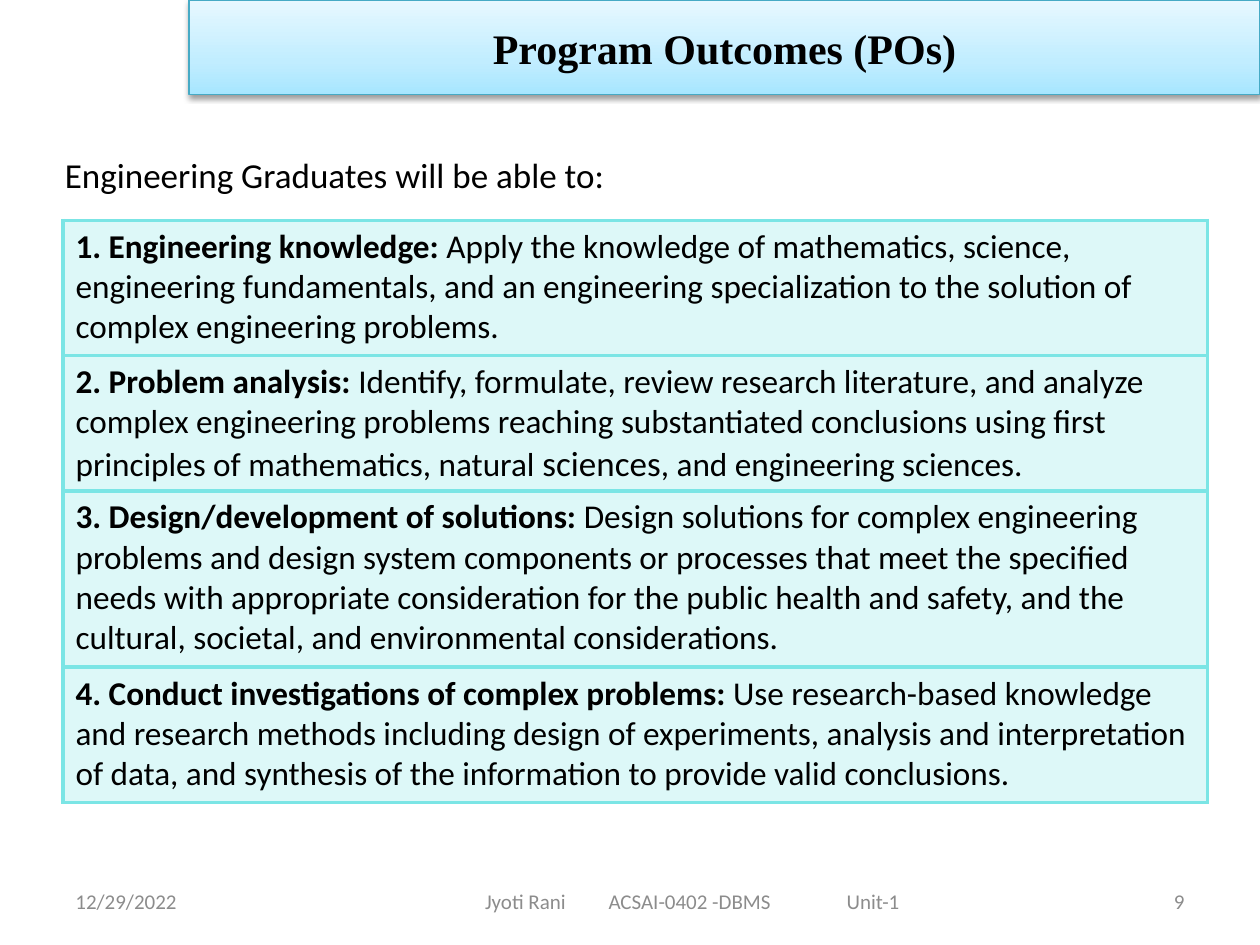
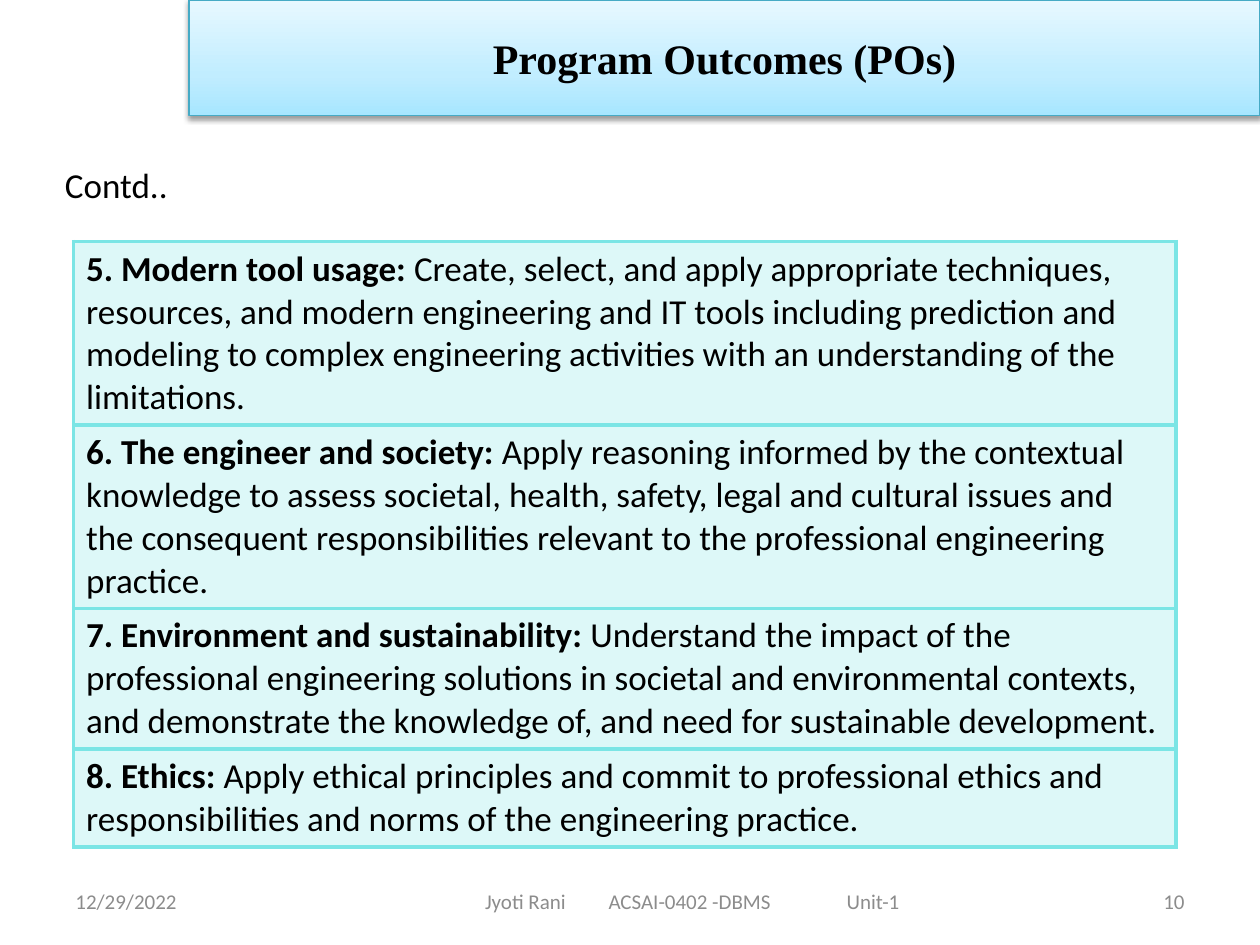
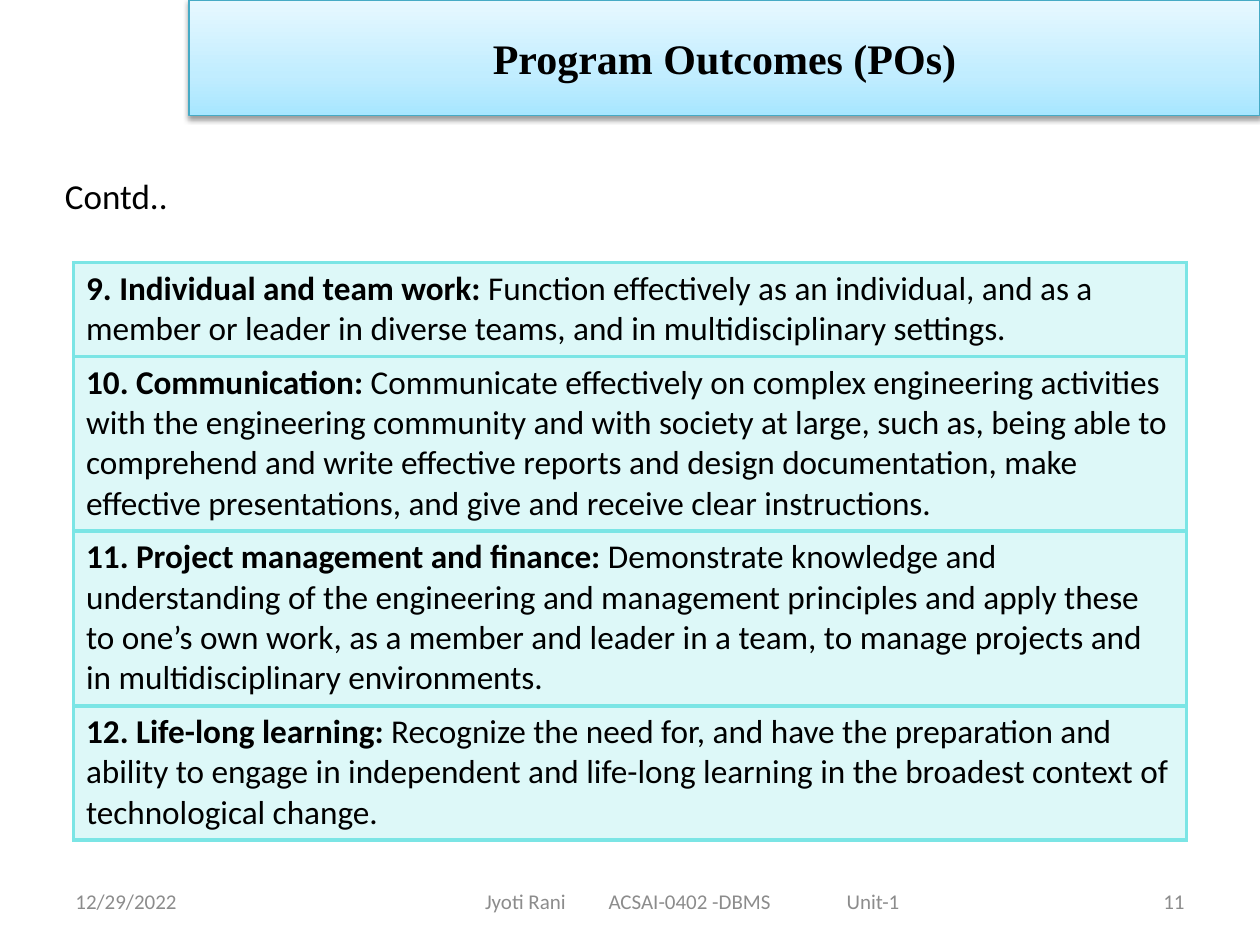
import pptx
import pptx.dml.color
import pptx.enum.text
import pptx.oxml
import pptx.oxml.ns
import pptx.util

COLORS = {
    "text": "000000",
    "footer": "8C8C8C",
    "table": "7BE5E5",
    "band_line": "46AAC5",
    "band_low": "A7E6FF",
    "band_mid": "C1EDFF",
    "band_high": "E7F8FF",
}
COLUMNS, ROWS = 120, 90  # grid of the slide
CELL_MARGIN = 0.1        # top and bottom margins of a cell together, inches
NS = pptx.oxml.ns.nsdecls("a")
ALIGN = pptx.enum.text.PP_ALIGN
ANCHOR = pptx.enum.text.MSO_ANCHOR
AUTO_SIZE = pptx.enum.text.MSO_AUTO_SIZE

BODY = {"name": "Calibri", "size": pptx.util.Pt(20), "bold": False}
TITLE = {"name": "Times New Roman", "size": pptx.util.Pt(24), "bold": True}
FOOTER = {"name": "Calibri", "size": pptx.util.Pt(12), "bold": False}

TITLE_TEXT = "Program Outcomes (POs)"
DATE = "12/29/2022"
FOOTER_PARTS = ["Jyoti Rani", "ACSAI-0402 -DBMS", "Unit-1"]
FOOTER_TABS = [0.98, 2.87]  # inches from the start of the footer text
FIRST_NUMBER = 9

# Each outcome: number of lines, heading, then runs of text (with a size if it differs)
SLIDES = [
    {
        "band": 9, "intro": ("Engineering Graduates will be able to:", 14, 54.24),
        "table": (6, 21, 109), "size": 19, "leading": 1.23,
        "outcomes": [
            (3, "1. Engineering knowledge:",
             " Apply the knowledge of mathematics, science, engineering fundamentals, and an "
             "engineering specialization to the solution of complex engineering problems."),
            (3, "2. Problem analysis:",
             " Identify, formulate, review research literature, and analyze complex engineering "
             "problems reaching substantiated conclusions using first principles of mathematics, "
             "natural ", ("sciences", 20), ", and engineering sciences."),
            (4, "3. Design/development of solutions:",
             " Design solutions for complex engineering problems and design system components or "
             "processes that meet the specified needs with appropriate consideration for the "
             "public health and safety, and the cultural, societal, and environmental "
             "considerations."),
            (3, "4. Conduct investigations of complex problems:",
             " Use research-based knowledge and research methods including design of experiments, "
             "analysis and interpretation of data, and synthesis of the information to provide "
             "valid conclusions."),
        ],
    },
    {
        "band": 11, "intro": ("Contd..", 15, 12.24),
        "table": (7, 23, 105), "size": 20, "leading": 1.22,
        "outcomes": [
            (4, "5. Modern tool usage:",
             " Create, select, and apply appropriate techniques, resources, and modern "
             "engineering and IT tools including prediction and modeling to complex engineering "
             "activities with an understanding of the limitations."),
            (4, "6. The engineer and society:",
             " Apply reasoning informed by the contextual knowledge to assess societal, health, "
             "safety, legal and cultural issues and the consequent responsibilities relevant to "
             "the professional engineering practice."),
            (3, "7. Environment and sustainability:",
             " Understand the impact of the professional engineering solutions in societal and "
             "environmental contexts, and demonstrate the knowledge of, and need for sustainable "
             "development."),
            (2, "8. Ethics:",
             " Apply ethical principles and commit to professional ethics and responsibilities "
             "and norms of the engineering practice."),
        ],
    },
    {
        "band": 11, "intro": ("Contd..", 16, 12.24),
        "table": (7, 25, 106), "size": 19, "leading": 1.22,
        "outcomes": [
            (2, "9. Individual and team work:",
             " Function effectively as an individual, and as a member or leader in diverse teams, "
             "and in multidisciplinary settings."),
            (4, "10. Communication:",
             " Communicate effectively on complex engineering activities with the engineering "
             "community and with society at large, such as, being able to comprehend and write "
             "effective reports and design documentation, make effective presentations, and give "
             "and receive clear instructions."),
            (4, "11. Project management and finance:",
             " Demonstrate knowledge and understanding of the engineering and management "
             "principles and apply these to one’s own work, as a member and leader in a team, to "
             "manage projects and in multidisciplinary environments."),
            (3, "12. Life-long learning:",
             " Recognize the need for, and have the preparation and ability to engage in "
             "independent and life-long learning in the broadest context of technological "
             "change."),
        ],
    },
]


class Deck:
    """Holds the style and the current slide."""

    def __init__(self):
        self.prs = pptx.Presentation()
        self.prs.slide_width = pptx.util.Inches(10)
        self.prs.slide_height = pptx.util.Inches(7.5)
        self.slide = None

    def x(self, columns):
        return round(self.prs.slide_width * columns / COLUMNS)

    def y(self, rows):
        return round(self.prs.slide_height * rows / ROWS)

    def box(self, left, top, width, height):
        return self.x(left), self.y(top), self.x(width), self.y(height)

    def run(self, p, text, style, color="text", **changes):
        r = p.add_run()
        r.text = text
        for name, value in {**style, **changes}.items():
            setattr(r.font, name, value)
        r.font.color.rgb = pptx.dml.color.RGBColor.from_string(COLORS[color])

    def title(self, text, rows):
        """Start a slide and turn its title into the band at the top."""
        self.slide = self.prs.slides.add_slide(self.prs.slide_layouts[5])
        sp = self.slide.shapes.title
        sp.left, sp.top, sp.width, sp.height = self.box(18, 0, 102, rows)
        stops = "".join(
            f'<a:gs pos="{pos * 1000}"><a:srgbClr val="{COLORS[name]}"/></a:gs>'
            for pos, name in [(0, "band_low"), (35, "band_mid"), (100, "band_high")])
        props = sp.element.spPr
        props.append(pptx.oxml.parse_xml(
            f'<a:gradFill {NS} rotWithShape="1"><a:gsLst>{stops}</a:gsLst>'
            '<a:lin ang="16200000" scaled="0"/></a:gradFill>'))
        sp.line.color.rgb = pptx.dml.color.RGBColor.from_string(COLORS["band_line"])
        sp.line.width = pptx.util.Pt(0.75)
        props.append(pptx.oxml.parse_xml(
            f'<a:effectLst {NS}><a:outerShdw blurRad="40000" dist="20000" dir="5400000" '
            'rotWithShape="0"><a:srgbClr val="000000"><a:alpha val="38000"/></a:srgbClr>'
            '</a:outerShdw></a:effectLst>'))
        tf = sp.text_frame
        tf.auto_size = AUTO_SIZE.NONE
        tf.vertical_anchor = ANCHOR.MIDDLE
        p = tf.paragraphs[0]
        p.alignment = ALIGN.CENTER
        self.run(p, text, TITLE)

    def text(self, text, box, style, color="text", align=ALIGN.LEFT, tabs=(), **frame):
        sp = self.slide.shapes.add_textbox(*self.box(*box))
        tf = sp.text_frame
        for name, value in {"word_wrap": True, **frame}.items():
            setattr(tf, name, value)
        p = tf.paragraphs[0]
        p.alignment = align
        if tabs:
            stops = "".join(f'<a:tab pos="{pptx.util.Inches(t)}" algn="l"/>' for t in tabs)
            p._p.get_or_add_pPr().append(
                pptx.oxml.parse_xml(f"<a:tabLst {NS}>{stops}</a:tabLst>"))
        self.run(p, text, style, color)

    def footer(self, number):
        edge = {"style": FOOTER, "color": "footer", "vertical_anchor": ANCHOR.MIDDLE}
        top, height = 83.4, 4.8
        self.text(DATE, (6, top, 28, height), **edge)
        self.text(str(number), (86, top, 28, height), align=ALIGN.RIGHT, **edge)
        self.text("\t".join(FOOTER_PARTS), (33, top, 66, height), tabs=FOOTER_TABS,
                  margin_left=pptx.util.Inches(1.1), **edge)

    def cell_style(self, cell):
        cell.fill.solid()
        cell.fill.fore_color.rgb = pptx.dml.color.RGBColor.from_string(COLORS["table"])
        props = cell._tc.get_or_add_tcPr()
        clr = props.find(".//" + pptx.oxml.ns.qn("a:srgbClr"))
        clr.append(pptx.oxml.parse_xml(f'<a:alpha {NS} val="25000"/>'))
        for i, side in enumerate("LRTB"):
            props.insert(i, pptx.oxml.parse_xml(
                f'<a:ln{side} {NS} w="{pptx.util.Pt(2.25)}"><a:solidFill>'
                f'<a:srgbClr val="{COLORS["table"]}"/></a:solidFill></a:ln{side}>'))

    def table(self, outcomes, left, top, width, size, leading):
        """One outcome a row, each as high as its lines."""
        heights = [pptx.util.Inches(CELL_MARGIN + lines * size * leading / 72)
                   for lines, *_ in outcomes]
        table = self.slide.shapes.add_table(
            len(outcomes), 1, self.x(left), self.y(top), self.x(width), sum(heights)).table
        table.first_row = table.horz_banding = False
        for row, height, (_, heading, *runs) in zip(table.rows, heights, outcomes):
            row.height = height
            cell = row.cells[0]
            self.cell_style(cell)
            p = cell.text_frame.paragraphs[0]
            self.run(p, heading, BODY, size=pptx.util.Pt(size), bold=True)
            for item in runs:
                text, points = (item, size) if isinstance(item, str) else item
                self.run(p, text, BODY, size=pptx.util.Pt(points))


def main():
    deck = Deck()
    for number, content in enumerate(SLIDES, FIRST_NUMBER):
        deck.title(TITLE_TEXT, content["band"])
        intro, top, width = content["intro"]
        deck.text(intro, (5, top, width, 5.28), BODY, word_wrap=False,
                  auto_size=AUTO_SIZE.SHAPE_TO_FIT_TEXT)
        deck.table(content["outcomes"], *content["table"],
                   content["size"], content["leading"])
        deck.footer(number)
    deck.prs.save("out.pptx")


if __name__ == "__main__":
    main()
